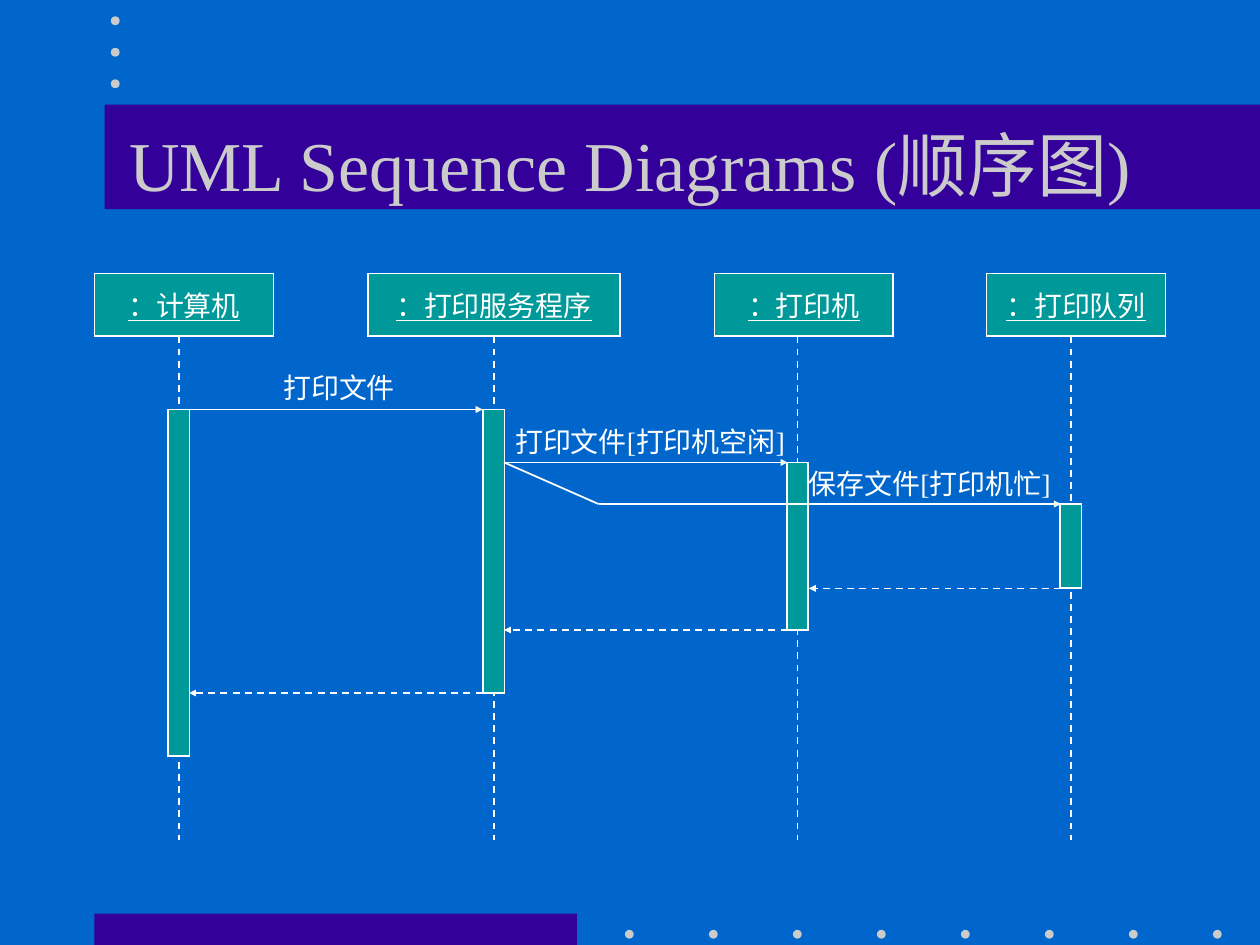
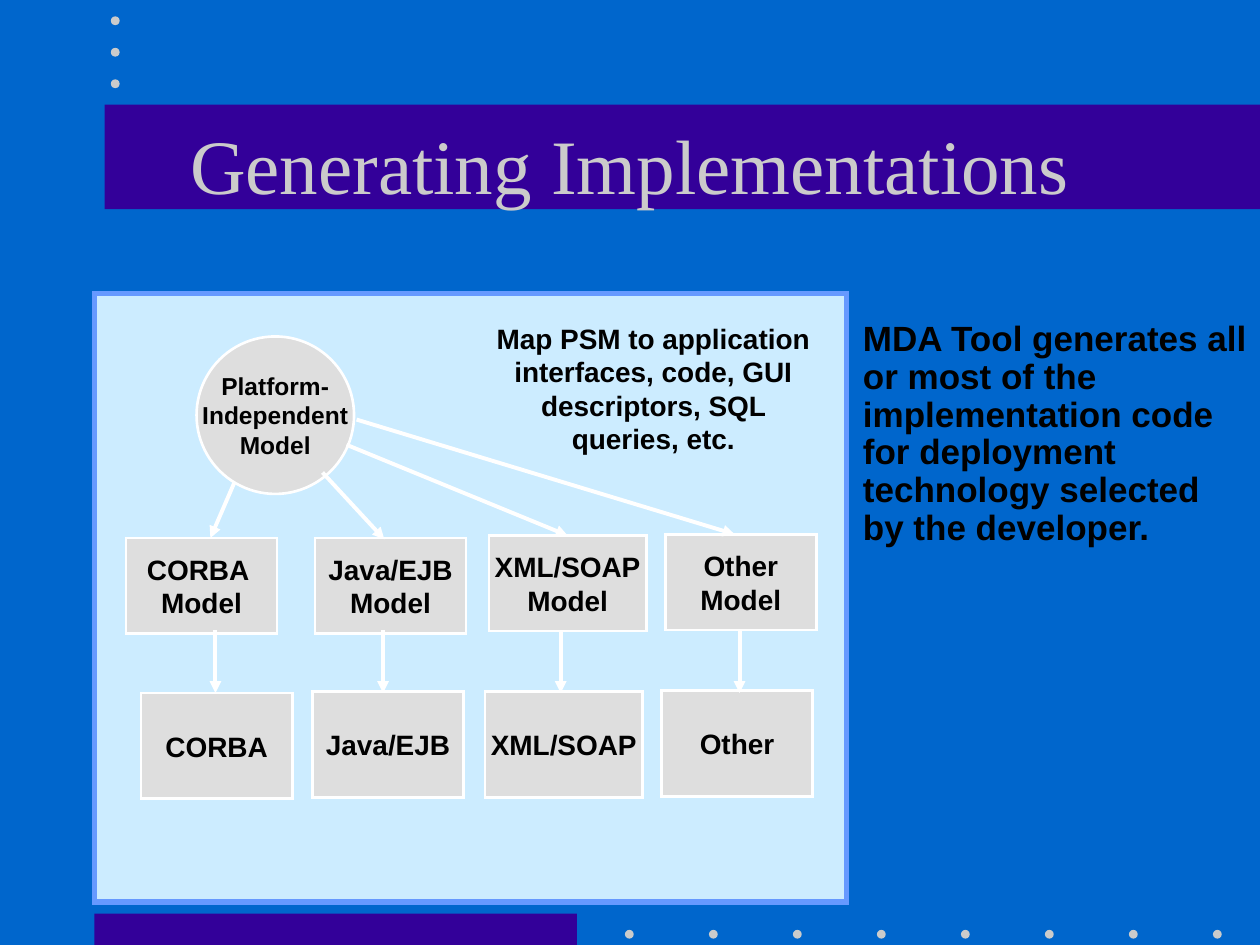
"""Builds two slides: a UML sequence diagram and a model-to-code map."""
from pptx import Presentation
from pptx.dml.color import RGBColor
from pptx.enum.dml import MSO_LINE
from pptx.enum.shapes import MSO_CONNECTOR, MSO_SHAPE
from pptx.enum.text import MSO_ANCHOR, MSO_AUTO_SIZE, PP_ALIGN
from pptx.oxml.ns import qn
from pptx.util import Inches, Pt
from lxml import etree

RECT, OVAL = MSO_SHAPE.RECTANGLE, MSO_SHAPE.OVAL
LEFT, MID = PP_ALIGN.LEFT, PP_ALIGN.CENTER
TOP, CENTRE = MSO_ANCHOR.TOP, MSO_ANCHOR.MIDDLE
DASH, STRAIGHT = MSO_LINE.DASH, MSO_CONNECTOR.STRAIGHT
GROW = MSO_AUTO_SIZE.SHAPE_TO_FIT_TEXT
SERIF, SANS = "Times New Roman", "Arial"
HUES = {"back": "0066CC", "band": "330099", "pale": "CBCBCB", "teal": "009999", "white": "FFFFFF",
        "panel": "CCECFF", "edge": "6699FF", "grey": "DEDEDE", "black": "000000"}
RGB = {name: RGBColor.from_string(code) for name, code in HUES.items()}


def put(slide, kind, at, fill=None, edge=None, text="", size=16, font=SERIF, hue="white",
        align=MID, anchor=CENTRE, wrap=False, bold=False, under=False, space=1.0):
    at = [Inches(n) for n in at]
    if kind is None:
        shape = slide.shapes.add_textbox(*at)
    else:
        shape = slide.shapes.add_shape(kind, *at)
        shape.shadow.inherit = False
        shape.fill.solid()
        shape.fill.fore_color.rgb = RGB[fill]
        if edge:
            shape.line.color.rgb = RGB[edge[0]]
            shape.line.width = Pt(edge[1])
            etree.SubElement(shape._element.spPr.find(qn("a:ln")), qn("a:miter"), lim="800000")
        else:
            shape.line.fill.background()
    if text:
        frame = shape.text_frame
        frame.word_wrap = wrap
        frame.vertical_anchor = anchor
        if anchor == TOP:
            frame.auto_size = GROW
        frame.text = text
        for para in frame.paragraphs:
            para.alignment = align
            para.line_spacing = space
            para.font.name, para.font.size = font, Pt(size)
            para.font.bold, para.font.underline = bold, under
            para.font.color.rgb = RGB[hue]
    return shape


def link(slide, start, end, width=1, dash=False, head="med", box=None):
    ends = [[Inches(n) for n in spot] for spot in (start, end)]
    wire = slide.shapes.add_connector(STRAIGHT, *ends[0], *ends[1])
    wire.line.color.rgb = RGB["white"]
    wire.line.width = Pt(width)
    if dash:
        wire.line.dash_style = DASH
    props = wire._element.spPr
    if head:
        etree.SubElement(props.find(qn("a:ln")), qn("a:tailEnd"), type="triangle", w=head, len=head)
    etree.SubElement(props, qn("a:effectLst"))
    if box:
        mid = box.left + box.width // 2
        for (x, y), join in zip(ends, (wire.begin_connect, wire.end_connect)):
            for site, side in ((0, box.top), (2, box.top + box.height)):
                if max(abs(x - mid), abs(y - side)) <= Inches(0.02):
                    join(box, site)


deck = Presentation()
deck.slide_width, deck.slide_height = Inches(10), Inches(7.5)
pages = []
for title, size in (("UML Sequence Diagrams (顺序图)", 40), ("Generating Implementations", 44)):
    page = deck.slides.add_slide(deck.slide_layouts[6])
    page.background.fill.solid()
    page.background.fill.fore_color.rgb = RGB["back"]
    put(page, RECT, (0.75, 7.25, 3.83, 0.25), "band")
    put(page, RECT, (0.83, 0.83, 9.17, 0.83), "band")
    dots = [(4.96 + i * 2 / 3, 7.38) for i in range(8)] + [(0.88, 0.13 + i / 4) for i in range(3)]
    for x, y in dots:
        put(page, OVAL, (x, y, 0.07, 0.07), "pale")
    put(page, None, (0.75, 0.67, 8.5, 1.25), text=title, size=size, hue="pale", wrap=True)
    pages.append(page)
flow, tree = pages

thin = ("white", 1)
actors = [
    ("：计算机", 0.75, 1.42, 1.42, 3.25, 2.75),
    ("：打印服务程序", 2.92, 2, 3.92, 3.25, 2.25),
    ("：打印机", 5.67, 1.42, 6.33, 3.67, 1.33),
    ("：打印队列", 7.83, 1.42, 8.5, 4, 0.67),
]
for name, left, wide, axis, top, tall in actors:
    role = put(flow, RECT, (left, 2.17, wide, 0.5), "teal", thin, name, under=True)
    link(flow, (axis, 2.67), (axis, 6.67), dash=True, head=None, box=role)
    put(flow, RECT, (axis - 0.085, top, 0.17, tall), "teal", thin)

calls = [(1.5, 3.83, 3.25), (4, 6.25, 3.67), (4.75, 8.42, 4)]
replies = [(3.83, 1.5, 5.5), (6.25, 4, 5), (8.42, 6.42, 4.67)]
for start, end, y in calls + replies:
    link(flow, (start, y), (end, y), dash=start > end, head="sm")
link(flow, (4, 3.67), (4.75, 4), head=None)

for note, x, y, wide in (("打印文件", 2.15, 2.89, 1.2), ("打印文件[打印机空闲]", 3.99, 3.32, 2.5),
                         ("保存文件[打印机忙]", 6.32, 3.65, 2.28)):
    put(flow, None, (x, y, wide, 0.37), text=note, align=LEFT, anchor=TOP)

bold = {"font": SANS, "hue": "black", "bold": True}
rim = ("white", 1.5)
put(tree, RECT, (0.75, 2.33, 5.97, 4.83), "panel", ("edge", 3))
put(tree, OVAL, (1.56, 2.67, 1.25, 1.25), "grey", rim, "Platform-\vIndependent\nModel", 14, **bold)

kinds = [
    ("CORBA", "CORBA \vModel", 1.2, (1, 4.27), (1.12, 5.5), (1.86, 3.83), (1.67, 4.27), 1.71),
    ("Java/EJB", "Java/EJB\vModel", 1.2, (2.5, 4.27), (2.48, 5.49), (2.56, 3.75), (3.05, 4.28), 3.04),
    ("XML/SOAP", "XML/SOAP\vModel", 1.25, (3.88, 4.25), (3.85, 5.49), (2.75, 3.53), (4.52, 4.25), 4.45),
    ("Other", "Other\vModel", 1.2, (5.28, 4.24), (5.25, 5.48), (2.83, 3.33), (5.83, 4.24), 5.87),
]
for name, label, wide, model, code, start, end, drop in kinds:
    goal = put(tree, RECT, (*model, wide, 0.76), "grey", rim, label, **bold)
    put(tree, RECT, (*code, wide, 0.84), "grey", rim, name, **bold)
    link(tree, start, end, 2.25, box=goal)
    link(tree, (drop, 5), (drop, 5.5), 2.25)

put(tree, None, (6.75, 2.5, 3.25, 1.9), size=20, align=LEFT, anchor=TOP, wrap=True, space=0.9,
    text="MDA Tool generates all or most of the implementation code for deployment "
         "technology selected by the developer.", **bold)
put(tree, None, (3.81, 2.5, 2.75, 1.17), anchor=TOP, wrap=True,
    text="Map PSM to application interfaces, code, GUI descriptors, SQL queries, etc.", **bold)

deck.save("out.pptx")
